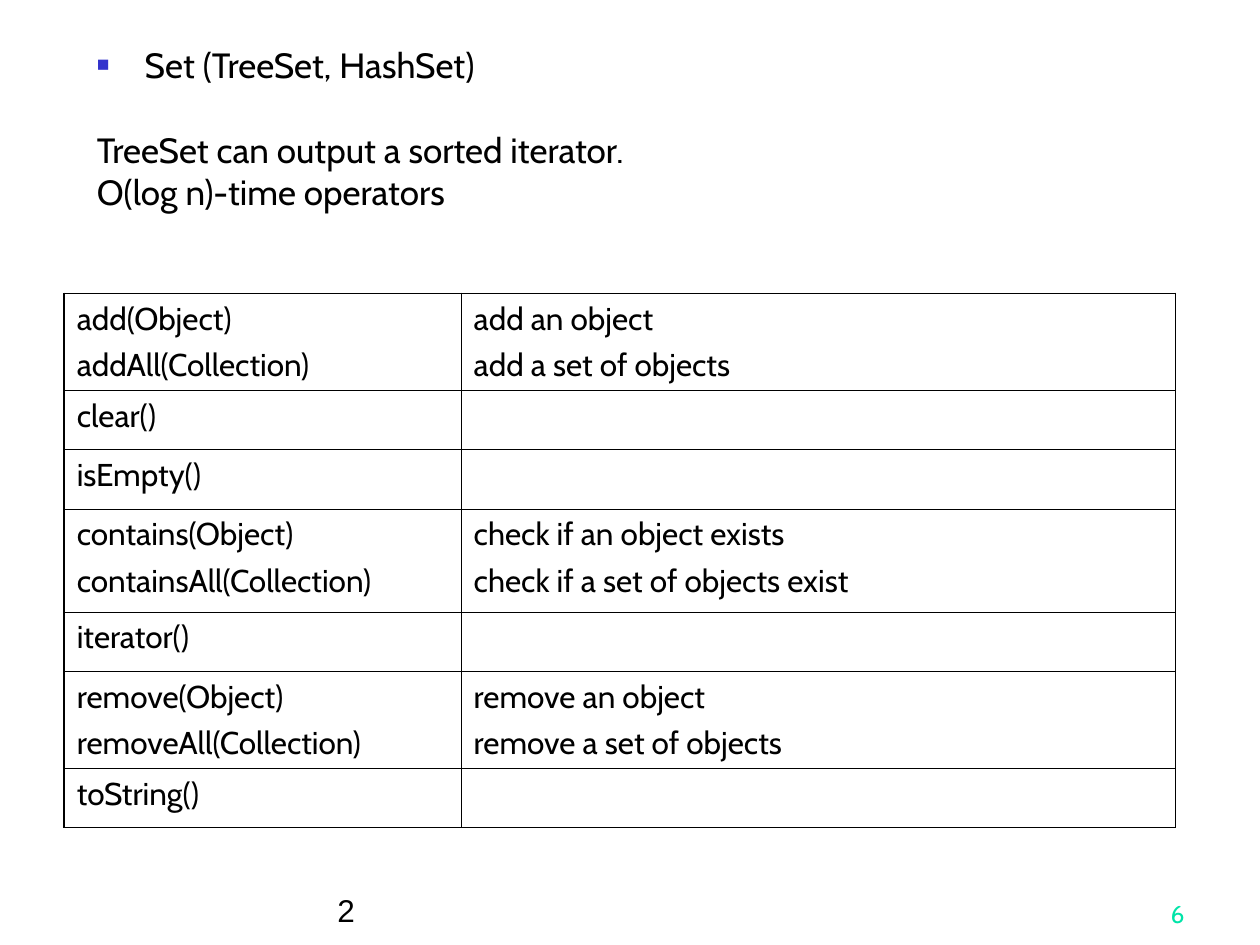
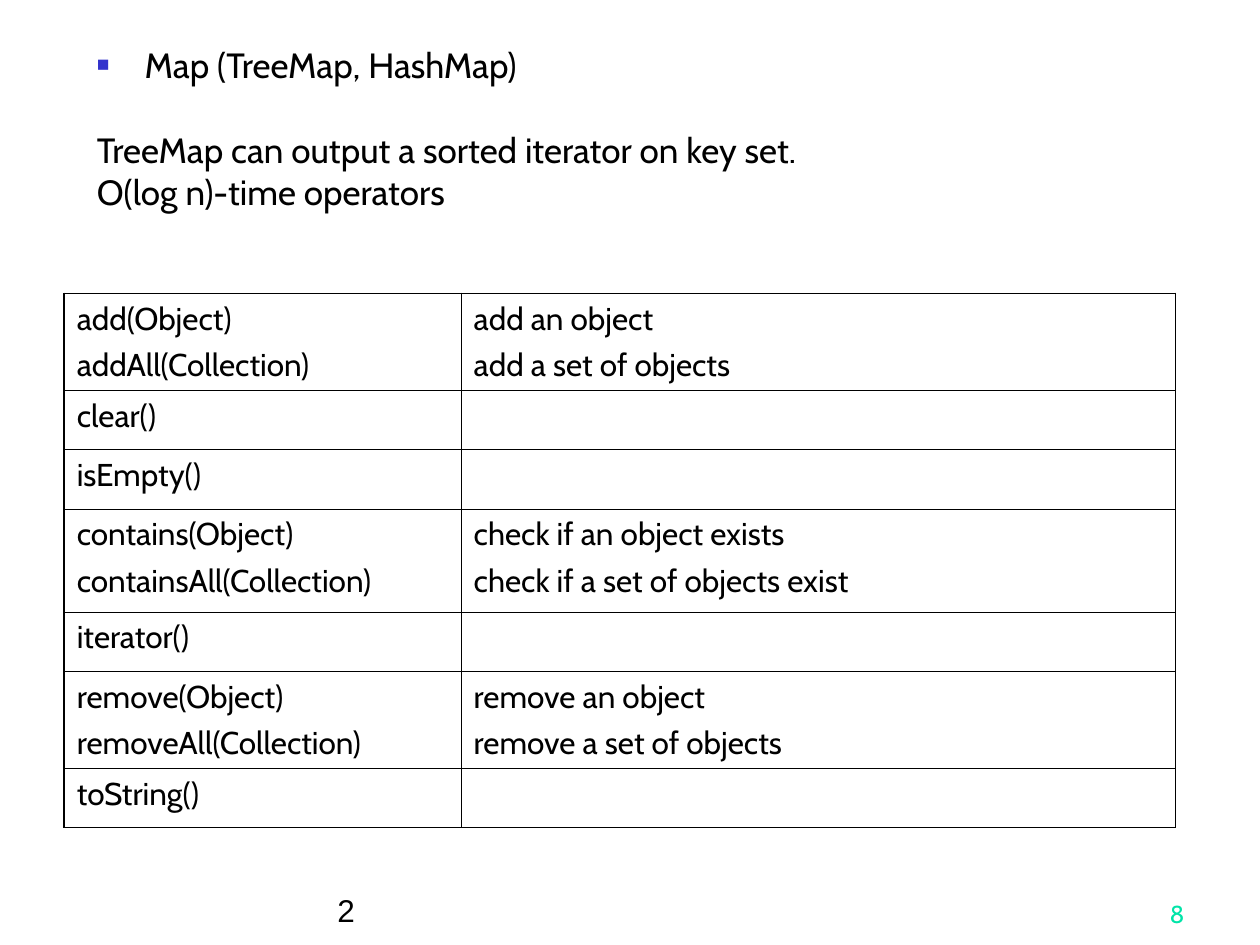
from lxml import etree
from pptx import Presentation
from pptx.dml.color import RGBColor
from pptx.enum.text import MSO_ANCHOR, PP_ALIGN
from pptx.oxml.ns import qn
from pptx.util import Inches, Pt

TOP, BOTTOM = MSO_ANCHOR.TOP, MSO_ANCHOR.BOTTOM
LEFT, RIGHT = PP_ALIGN.LEFT, PP_ALIGN.RIGHT

BLACK = RGBColor(0x00, 0x00, 0x00)
BLUE = RGBColor(0x33, 0x33, 0xCC)
GREEN = RGBColor(0x00, 0xE4, 0xA8)

BODY = {"name": "Cabin", "size": Pt(20), "color": BLACK}
CELL = {"name": "Cabin", "size": Pt(18), "color": BLACK}
DATE = {"name": "Arial", "size": Pt(18), "color": BLACK}
NUMBER = {"name": "Cabin", "size": Pt(14), "color": GREEN}

THICK, THIN = Pt(1.08), Pt(0.45)
COLUMNS = (3.15, 5.67)
METHODS = (
    (0.77, ("add(Object)", "addAll(Collection)"),
     ("add an object", "add a set of objects")),
    (0.47, ("clear()",), ()),
    (0.47, ("isEmpty()",), ()),
    (0.82, ("contains(Object)", "containsAll(Collection)"),
     ("check if an object exists", "check if a set of objects exist")),
    (0.47, ("iterator()",), ()),
    (0.77, ("remove(Object)", "removeAll(Collection)"),
     ("remove an object", "remove a set of objects")),
    (0.47, ("toString()",), ()),
)
SLIDES = (
    ("Set (TreeSet, HashSet)", "TreeSet can output a sorted iterator.", 1.42, "6"),
    ("Map (TreeMap, HashMap)", "TreeMap can output a sorted iterator on key set.",
     1.81, "8"),
)


def add_run(p, text, style):
    """Add a run of text with the given font values."""
    r = p.add_run()
    r.text = text
    for key, value in style.items():
        if key == "color":
            r.font.color.rgb = value
        else:
            setattr(r.font, key, value)


def add_lines(tf, lines, style, **formats):
    """Fill a text frame with one paragraph per line."""
    for i, text in enumerate(lines):
        p = tf.add_paragraph() if i else tf.paragraphs[0]
        add_run(p, text, style)
        for key, value in formats.items():
            if i or key != "space_before":
                setattr(p, key, value)


def add_box(s, box, lines, style, anchor=TOP, **formats):
    """Add a wrapping text box and return its text frame."""
    tf = s.shapes.add_textbox(*map(Inches, box)).text_frame
    tf.word_wrap = True
    tf.vertical_anchor = anchor
    add_lines(tf, lines, style, **formats)
    return tf


def add_bullet(p):
    """Give a paragraph a small blue square with a hanging indent."""
    pPr = p._p.get_or_add_pPr()
    pPr.set("marL", str(Inches(0.38)))
    pPr.set("indent", str(-Inches(0.38)))
    color = etree.SubElement(pPr, qn("a:buClr"))
    etree.SubElement(color, qn("a:srgbClr"), val=str(BLUE))
    etree.SubElement(pPr, qn("a:buSzPct"), val="60000")
    etree.SubElement(pPr, qn("a:buFont"), typeface="Arial")
    etree.SubElement(pPr, qn("a:buChar"), char="■")


def add_borders(cell, widths):
    """Draw the four black borders of a cell."""
    tcPr = cell._tc.get_or_add_tcPr()
    for side, width in widths.items():
        ln = etree.SubElement(tcPr, qn("a:ln" + side), w=str(width))
        fill = etree.SubElement(ln, qn("a:solidFill"))
        etree.SubElement(fill, qn("a:srgbClr"), val=str(BLACK))


def add_intro(s, box, title, note):
    """Add the bulleted collection name and the two notes below it."""
    tf = add_box(s, box, (title, note, "O(log n)-time operators"), BODY,
                 line_spacing=0.8, space_before=Pt(5))
    add_bullet(tf.paragraphs[0])
    tf.paragraphs[1].space_before = Pt(29.4)


def add_method_table(s, left, top):
    """Add the table of methods with a thick frame and thin inner lines."""
    height = sum(row[0] for row in METHODS)
    table = s.shapes.add_table(len(METHODS), len(COLUMNS), Inches(left), Inches(top),
                               Inches(sum(COLUMNS)), Inches(height)).table
    table.first_row = table.horz_banding = False
    for column, width in zip(table.columns, COLUMNS):
        column.width = Inches(width)
    last = len(METHODS) - 1
    for i, (row_height, *texts) in enumerate(METHODS):
        table.rows[i].height = Inches(row_height)
        for j, lines in enumerate(texts):
            cell = table.cell(i, j)
            add_lines(cell.text_frame, lines, CELL, space_before=Pt(4.5))
            add_borders(cell, {"L": THIN if j else THICK, "R": THICK if j else THIN,
                               "T": THIN if i else THICK,
                               "B": THICK if i == last else THIN})
            cell.fill.background()


def add_footer(s, top, number):
    """Add the footer text and the slide number."""
    add_box(s, (2.58, top, 5.42, 0.5), ("2",), DATE, BOTTOM, alignment=LEFT)
    add_box(s, (7.42, top, 2.08, 0.5), (number,), NUMBER, BOTTOM, alignment=RIGHT)


def main():
    """Build the slides and save them."""
    prs = Presentation()
    prs.slide_width, prs.slide_height = Inches(10), Inches(7.5)
    for title, note, height, number in SLIDES:
        s = prs.slides.add_slide(prs.slide_layouts[6])
        add_intro(s, (0.67, 0.36, 8.51, height), title, note)
        add_method_table(s, 0.51, 2.33)
        add_footer(s, 6.92, number)
    prs.save("out.pptx")


if __name__ == "__main__":
    main()
